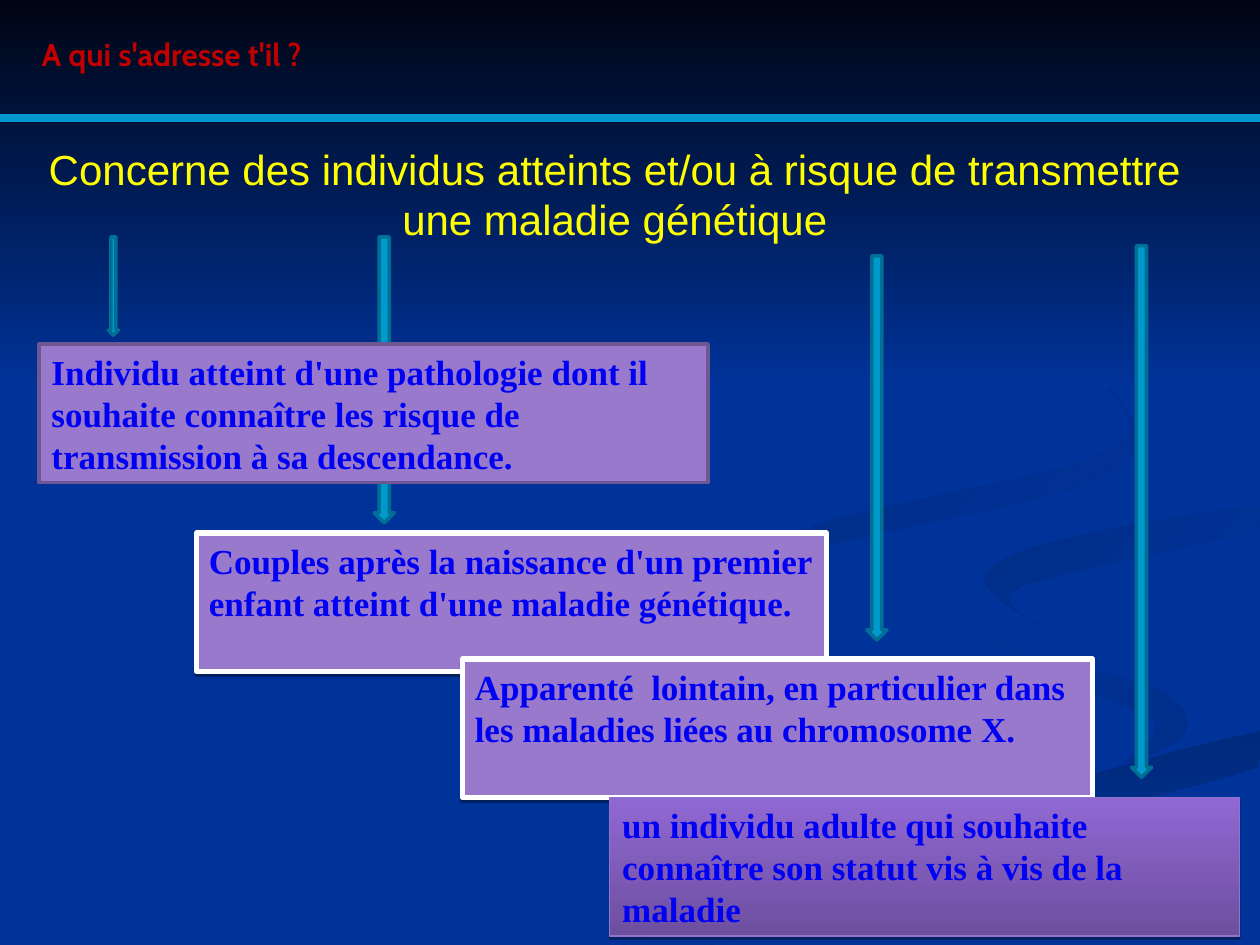
from typing import NamedTuple, Optional

from lxml.etree import SubElement
from pptx import Presentation
from pptx.dml.color import RGBColor
from pptx.enum.shapes import MSO_CONNECTOR, MSO_SHAPE
from pptx.enum.text import MSO_ANCHOR, PP_ALIGN
from pptx.oxml.ns import qn
from pptx.util import Inches, Pt

BLUE = "003399"
CURVE_STEPS = 6


class Arrow(NamedTuple):
    left: float
    top: float
    height: float
    width: float = 0.16


class Box(NamedTuple):
    left: float
    top: float
    width: float
    text: str
    fill: tuple
    line: str
    line_pt: float
    shadow_pt: Optional[float] = None
    shadow_alpha: int = 38


class Swirl(NamedTuple):
    colors: tuple
    angle: float
    points: list


SWIRLS = [
    Swirl(("002A7D", BLUE), 90, [
        (5.03, 7.49), (5.71, 7.49), (7.22, 6.82), (9.98, 6.09), (9.98, 5.81), (7.64, 6.47)]),
    Swirl((BLUE, "002E8B"), 45, [
        (7.24, 4.64), (8.11, 5.15), (9.19, 5.47), (9.41, 5.81), (8.94, 6.05), (9.15, 5.71),
        (8.15, 5.3)]),
    Swirl(("002D86", BLUE), 45, [
        (7.81, 4.6), (8.26, 4.96), (8.09, 4.66), (9.98, 4.2), (9.98, 4.02), (8.35, 4.3)]),
    Swirl(("002B82", BLUE), 45, [
        (7.62, 2.33), (8.7, 2.99), (8.76, 3.6), (6.25, 4.26), (6.22, 5), (6.24, 4.44),
        (8.76, 3.78), (8.8, 3.07)]),
]

ARROWS = [
    Arrow(0.86, 1.88, 0.78, 0.08),
    Arrow(2.97, 1.88, 2.27),
    Arrow(6.88, 2.03, 3.05),
    Arrow(8.98, 1.95, 4.22),
]

BOX_HEIGHT = 1.1
LILAC = ("9879CB",)
BOXES = [
    Box(0.31, 2.73, 5.31, "Individu atteint d'une pathologie dont il souhaite connaître "
        "les risque de transmission à sa descendance.", LILAC, "6E5795", 2),
    Box(1.56, 4.23, 5, "Couples après la naissance d'un premier enfant atteint "
        "d'une maladie génétique.", LILAC, "FFFFFF", 3, 1.6),
    Box(3.67, 5.23, 5, "Apparenté  lointain, en particulier dans les maladies liées "
        "au chromosome X.", LILAC, "FFFFFF", 3, 1.6),
    Box(4.84, 6.33, 5, "un individu adulte qui souhaite connaître son statut "
        "vis à vis de la maladie", ("9068D3", "6D4F9F"), "9474C8", 0.75, 1.8, 35),
]


def rgb(color: str) -> RGBColor:
    return RGBColor.from_string(color)


def paint(sp, colors: tuple, angle: float = 90, line: Optional[str] = None, line_pt: float = 0):
    """Fill with one colour, or a gradient at a clockwise angle, and set the outline."""
    sp.shadow.inherit = False
    if len(colors) == 1:
        sp.fill.solid()
        sp.fill.fore_color.rgb = rgb(colors[0])
    else:
        sp.fill.gradient()
        sp.fill.gradient_angle = 360 - angle
        for stop, color in zip(sp.fill.gradient_stops, colors):
            stop.color.rgb = rgb(color)
    if line:
        sp.line.color.rgb = rgb(line)
        sp.line.width = Pt(line_pt)
    else:
        sp.line.fill.background()


def write(sp, text: str, font: str, size: float, color: str, bold: bool = False,
          align=PP_ALIGN.LEFT):
    tf = sp.text_frame
    tf.text = text
    tf.word_wrap = True
    tf.vertical_anchor = MSO_ANCHOR.TOP
    p = tf.paragraphs[0]
    p.alignment = align
    f = p.runs[0].font
    f.name, f.size, f.bold = font, Pt(size), bold
    f.color.rgb = rgb(color)


def add_shadow(sp, distance: float, alpha: int):
    effects = sp._element.spPr.find(qn("a:effectLst"))
    shadow = SubElement(effects, qn("a:outerShdw"), blurRad="0", dist=str(Pt(distance)),
                        dir="5400000", rotWithShape="0")
    color = SubElement(shadow, qn("a:srgbClr"), val="000000")
    SubElement(color, qn("a:alpha"), val=str(alpha * 1000))


def smooth(points: list) -> list:
    """Return a closed Catmull-Rom curve through the points, kept on the slide."""
    curve = []
    for i, b in enumerate(points):
        a, c, d = (points[(i + k) % len(points)] for k in (-1, 1, 2))
        for step in range(CURVE_STEPS):
            t = step / CURVE_STEPS
            x, y = (q + t / 2 * (r - p + t * (2 * p - 5 * q + 4 * r - u
                                              + t * (3 * (q - r) + u - p)))
                    for p, q, r, u in zip(a, b, c, d))
            curve.append((Inches(min(x, 10)), Inches(min(y, 7.5))))
    return curve


def add_swirl(s, swirl: Swirl):
    start, *rest = smooth(swirl.points)
    builder = s.shapes.build_freeform(*start, scale=1.0)
    builder.add_line_segments(rest, close=True)
    paint(builder.convert_to_shape(), swirl.colors, swirl.angle)


def add_arrow(s, arrow: Arrow):
    sp = s.shapes.add_shape(MSO_SHAPE.DOWN_ARROW, Inches(arrow.left), Inches(arrow.top),
                            Inches(arrow.width), Inches(arrow.height))
    paint(sp, ("0099CC",), line="006F95", line_pt=2)


def add_box(s, box: Box):
    sp = s.shapes.add_shape(MSO_SHAPE.RECTANGLE, Inches(box.left), Inches(box.top),
                            Inches(box.width), Inches(BOX_HEIGHT))
    paint(sp, box.fill, line=box.line, line_pt=box.line_pt)
    if box.shadow_pt:
        add_shadow(sp, box.shadow_pt, box.shadow_alpha)
    write(sp, box.text, "Times New Roman", 20, "0000F2", bold=True)


def main():
    prs = Presentation()
    prs.slide_width, prs.slide_height = Inches(10), Inches(7.5)
    s = prs.slides.add_slide(prs.slide_layouts[5])
    s.background.fill.solid()
    s.background.fill.fore_color.rgb = rgb(BLUE)

    for swirl in SWIRLS:
        add_swirl(s, swirl)
    band = s.shapes.add_shape(MSO_SHAPE.RECTANGLE, 0, 0, prs.slide_width, Inches(3.08))
    paint(band, ("000514", BLUE))

    title = s.shapes.title
    band._element.addnext(title._element)
    title.left, title.top = Inches(0.23), Inches(0.23)
    title.width, title.height = Inches(4.84), Inches(0.4)
    write(title, "A qui s'adresse t'il ?", "Cabin", 18, "C00000", bold=True)

    rule = s.shapes.add_connector(MSO_CONNECTOR.STRAIGHT, 0, Inches(0.94),
                                  prs.slide_width, Inches(0.94))
    rule.line.color.rgb = rgb("0098CC")
    rule.line.width = Pt(4.5)
    SubElement(rule._element.spPr, qn("a:effectLst"))

    intro = s.shapes.add_textbox(Inches(0.23), Inches(1.09), Inches(9.3), Inches(0.9))
    write(intro, "Concerne des individus atteints et/ou à risque de transmettre "
          "une maladie génétique", "Arial", 24, "FFFF00", align=PP_ALIGN.CENTER)

    for arrow in ARROWS:
        add_arrow(s, arrow)
    for box in BOXES:
        add_box(s, box)
    prs.save("out.pptx")


if __name__ == "__main__":
    main()
